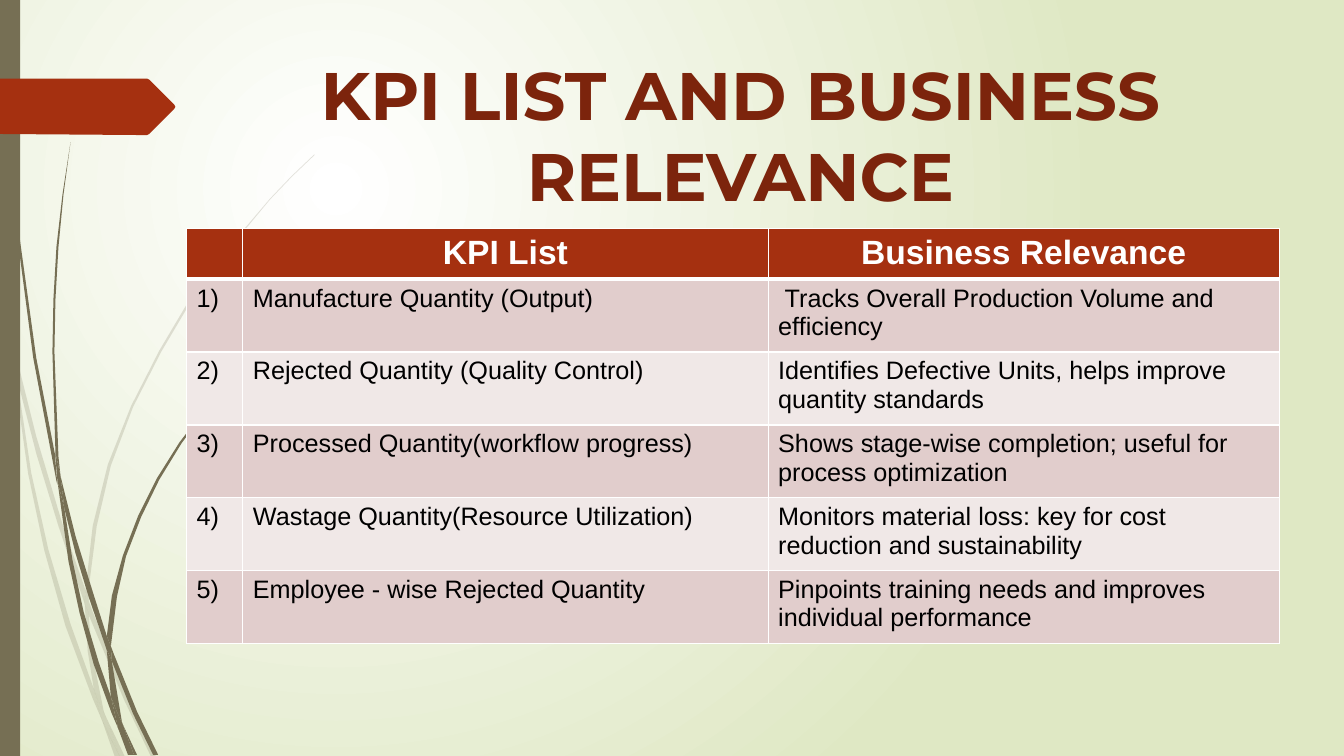
from lxml.etree import SubElement
from pptx import Presentation
from pptx.dml.color import RGBColor
from pptx.enum.shapes import MSO_SHAPE as Shape
from pptx.enum.text import MSO_ANCHOR as Anchor, MSO_AUTO_SIZE as Auto, PP_ALIGN as Align
from pptx.oxml import parse_xml
from pptx.oxml.ns import nsdecls, qn
from pptx.util import Pt

TITLE = "KPI LIST AND BUSINESS RELEVANCE"
HEADS = ("", "KPI List", "Business Relevance")
KPIS = [
    ("Manufacture Quantity (Output)", " Tracks Overall Production Volume and efficiency"),
    ("Rejected Quantity (Quality Control)",
     "Identifies Defective Units, helps improve quantity standards"),
    ("Processed Quantity(workflow progress)",
     "Shows stage-wise completion; useful for process optimization"),
    ("Wastage Quantity(Resource Utilization)",
     "Monitors material loss: key for cost reduction and sustainability"),
    ("Employee - wise Rejected Quantity",
     "Pinpoints training needs and improves individual performance"),
]
COLS = (40.3, 375.2, 365)
HEAD_H, ROW_H = 35.4, 52.1
RUST, WINE, OLIVE, WHITE = "A53010", "7C240C", "766F54", "FFFFFF"
BANDS = ("E1CDCC", "F0E8E7")

# Outlines of the grass blades and the tag, on a grid of 0.72 pt
GRID = Pt(0.72)
PALE = [
    [(11, 350), (9, 322), (0, 282), (0, 299), (10, 344)],
    [(58, 522), (84, 599), (85, 586), (62, 520), (36, 433), (14, 345), (17, 376), (36, 450)],
    [(92, 607), (88, 596), (88, 610), (123, 694), (150, 751), (155, 751), (127, 692)],
    [(119, 751), (124, 751), (105, 711)],
    [(93, 683), (70, 619), (48, 545), (31, 469), (17, 376), (11, 350), (28, 470),
     (44, 546), (65, 621), (92, 693), (101, 714), (99, 707)],
    [(84, 599), (87, 646), (93, 683), (96, 692), (105, 711), (103, 706), (91, 646),
     (88, 610), (88, 608)],
    [(88, 584), (96, 522), (110, 462), (132, 404), (160, 349), (192, 295), (229, 245),
     (268, 198), (290, 175), (312, 154), (312, 153), (289, 175), (268, 197), (228, 244),
     (190, 294), (158, 348), (130, 403), (107, 461), (92, 522), (85, 584), (85, 586),
     (88, 596)],
    [(101, 714), (114, 751), (119, 751)],
    [(88, 608), (88, 610), (88, 596), (85, 586), (84, 599)],
    [(96, 692), (93, 683), (99, 707), (101, 714), (119, 751), (105, 711)],
]
DARK = [
    [(7, 110), (17, 233), (33, 355), (56, 477), (57, 481), (55, 457), (55, 453),
     (36, 355), (19, 232), (8, 109), (5, 48), (4, 0), (3, 0), (4, 48)],
    [(88, 592), (106, 645), (106, 633), (106, 631), (93, 590), (75, 532), (60, 472),
     (64, 505), (75, 549)],
    [(113, 649), (110, 641), (111, 656), (132, 708), (152, 749), (157, 749), (136, 706)],
    [(110, 691), (98, 657), (83, 607), (72, 556), (64, 505), (57, 477), (68, 557),
     (79, 608), (93, 659), (111, 708), (117, 722), (116, 717)],
    [(60, 472), (58, 453), (54, 349), (55, 297), (58, 245), (63, 193), (70, 141),
     (62, 193), (56, 245), (53, 297), (52, 349), (55, 449)],
    [(133, 749), (136, 749), (122, 719)],
    [(57, 477), (64, 505), (60, 472), (55, 449), (55, 453)],
    [(111, 633), (116, 592), (125, 552), (140, 513), (158, 476), (180, 440), (205, 406),
     (231, 374), (245, 359), (261, 344), (260, 344), (245, 358), (231, 373), (204, 405),
     (178, 439), (156, 474), (137, 512), (122, 551), (111, 591), (106, 631), (110, 641)],
    [(117, 722), (127, 749), (131, 749)],
    [(106, 645), (110, 691), (116, 706), (122, 719), (121, 716), (111, 656), (109, 651)],
    [(106, 645), (109, 651), (111, 656), (110, 641), (106, 631), (106, 633)],
    [(116, 706), (110, 691), (116, 717), (117, 722), (130, 749), (133, 749), (122, 719)],
]
TAG = [(173, 108), (148, 133), (146, 134), (136, 134), (0, 133), (0, 78), (146, 78),
       (148, 79), (173, 104), (174, 106)]


def rgb(code):
    return RGBColor.from_string(code)


def paint(shape, color, alpha=None):
    shape.shadow.inherit = False
    shape.fill.solid()
    shape.fill.fore_color.rgb = rgb(color)
    shape.line.fill.background()
    if alpha:
        tone = shape._element.spPr.find(".//" + qn("a:srgbClr"))
        SubElement(tone, qn("a:alpha"), val=str(alpha * 1000))


def trace(shapes, spots, color, alpha=None):
    """Draw one closed outline."""
    path = shapes.build_freeform(*spots[0], scale=GRID)
    path.add_line_segments(spots[1:], close=True)
    paint(path.convert_to_shape(), color, alpha)


def style(para, size, color, font="Arial", bold=False, align=Align.LEFT):
    para.alignment = align
    for run in para.runs:
        face = run.font
        face.size, face.name, face.bold = Pt(size), font, bold
        face.color.rgb = rgb(color)


def edge(cell, base):
    """Give a cell white borders, with its own width at the bottom."""
    props = cell._tc.get_or_add_tcPr()
    for at, (side, width) in enumerate(zip("LRTB", (1, 1, 1, base))):
        props.insert(at, parse_xml(
            f'<a:ln{side} {nsdecls("a")} w="{Pt(width)}"><a:solidFill>'
            f'<a:srgbClr val="{WHITE}"/></a:solidFill></a:ln{side}>'))


def back(slide):
    """Fill the background with a round glow from white to light green."""
    fill = slide.background.fill
    fill.gradient()
    for stop, color, at in zip(fill.gradient_stops, (WHITE, "DFE8C4"), (0, 1)):
        stop.color.rgb, stop.position = rgb(color), at
    grad = slide._element.find(".//" + qn("a:gradFill"))
    grad.remove(grad.find(qn("a:lin")))
    glow = SubElement(grad, qn("a:path"), path="circle")
    SubElement(glow, qn("a:fillToRect"), l="50000", t="50000", r="100000", b="100000")


def decor(shapes):
    for blades, alpha in ((PALE, 20), (DARK, None)):
        group = shapes.add_group_shape()
        for blade in blades:
            trace(group.shapes, blade, OLIVE, alpha)
    paint(shapes.add_shape(Shape.RECTANGLE, 0, 0, Pt(14.4), Pt(540)), OLIVE)
    trace(shapes, TAG, RUST)


def head(shapes):
    title = shapes.title
    shapes._spTree.append(title._element)
    title.left, title.top, title.width, title.height = map(Pt, (118.1, 34.6, 821.5, 123.8))
    frame = title.text_frame
    frame.text = TITLE
    frame.word_wrap, frame.auto_size = True, Auto.SHAPE_TO_FIT_TEXT
    frame.vertical_anchor = Anchor.TOP
    style(frame.paragraphs[0], 48, WINE, "Montserrat", True, Align.CENTER)


def grid(shapes):
    rows = [HEADS] + [(f"{num})", *kpi) for num, kpi in enumerate(KPIS, 1)]
    high = HEAD_H + ROW_H * len(KPIS)
    table = shapes.add_table(len(rows), len(COLS), Pt(133.2), Pt(163.4),
                             Pt(sum(COLS)), Pt(high)).table
    for col, width in zip(table.columns, COLS):
        col.width = Pt(width)
    for r, row in enumerate(rows):
        table.rows[r].height = Pt(ROW_H if r else HEAD_H)
        for c, text in enumerate(row):
            cell = table.cell(r, c)
            cell.text = text
            cell.fill.solid()
            cell.fill.fore_color.rgb = rgb(BANDS[(r - 1) % 2] if r else RUST)
            edge(cell, 1 if r else 3)
            para = cell.text_frame.paragraphs[0]
            if r:
                style(para, 18, "000000")
            else:
                style(para, 24, WHITE, bold=True, align=Align.CENTER)


def main():
    deck = Presentation()
    deck.slide_width, deck.slide_height = Pt(960), Pt(540)
    slide = deck.slides.add_slide(deck.slide_layouts[5])
    back(slide)
    decor(slide.shapes)
    head(slide.shapes)
    grid(slide.shapes)
    deck.save("out.pptx")


if __name__ == "__main__":
    main()
